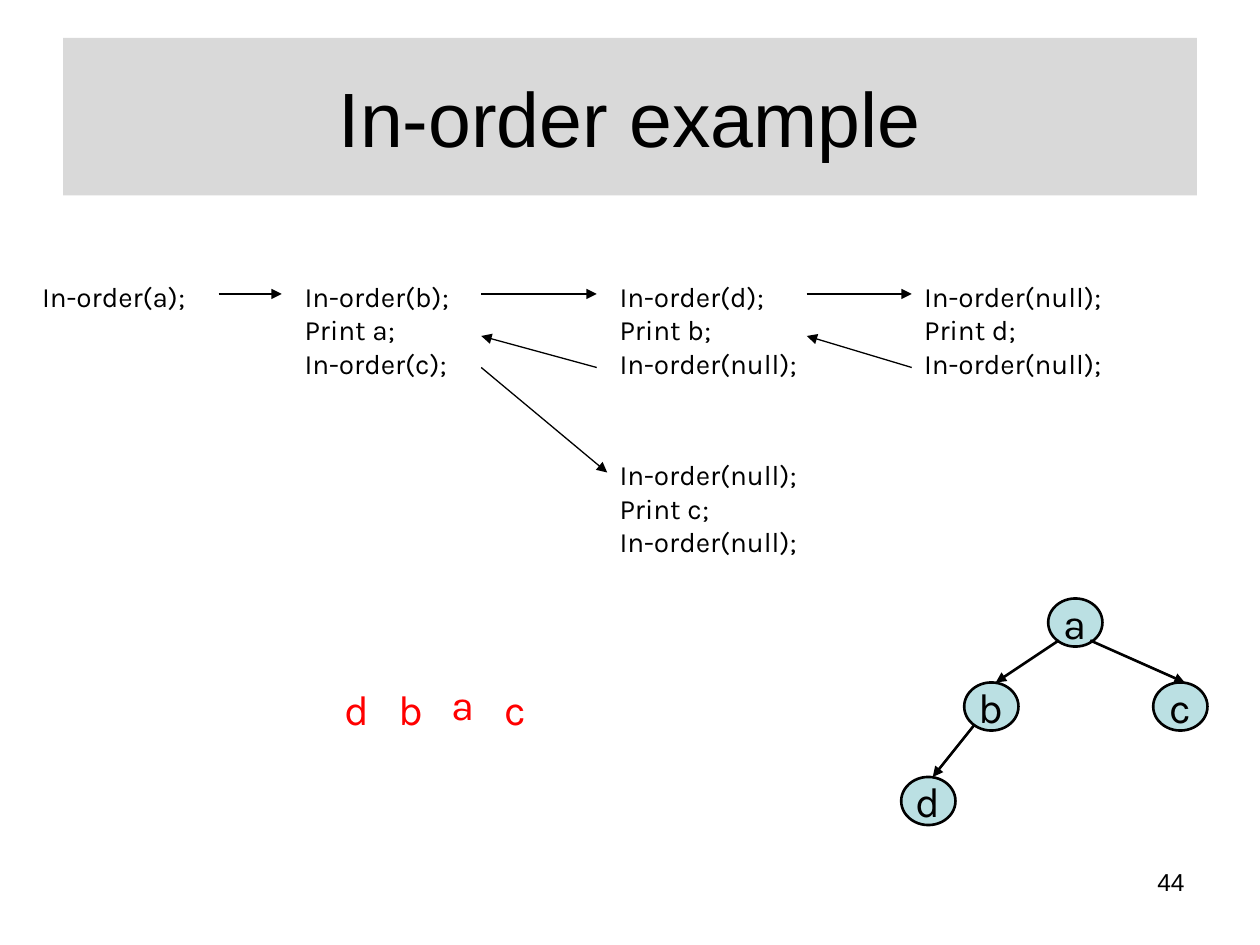
from typing import NamedTuple

from lxml import etree
from pptx import Presentation
from pptx import util as u
from pptx.dml.color import RGBColor
from pptx.enum import shapes, text
from pptx.oxml.ns import qn

BLACK = RGBColor(0x00, 0x00, 0x00)
RED = RGBColor(0xFF, 0x00, 0x00)
BAND_GRAY = RGBColor(0xD9, 0xD9, 0xD9)
NODE_BLUE = RGBColor(0xBB, 0xE0, 0xE3)
SANS, KARLA = "Arial", "Karla"
LEFT, CENTER, RIGHT = text.PP_ALIGN.LEFT, text.PP_ALIGN.CENTER, text.PP_ALIGN.RIGHT
NODE_WIDTH, NODE_HEIGHT = 31, 27.5


class Label(NamedTuple):
    x: float
    y: float
    width: float
    height: float
    lines: tuple[str, ...]


class Node(NamedTuple):
    x: float
    y: float
    name: str


class Arrow(NamedTuple):
    x1: float
    y1: float
    x2: float
    y2: float


# Call frames, one column per recursion depth
CALLS = [
    Label(17, 156, 99.5, 26.5, ("In-order(a);",)),
    Label(167, 156, 99.5, 65, ("In-order(b);", "Print a;", "In-order(c);")),
    Label(347, 156, 116, 65, ("In-order(d);", "Print b;", "In-order(null);")),
    Label(347, 258, 116, 65, ("In-order(null);", "Print c;", "In-order(null);")),
    Label(521, 156, 116, 65, ("In-order(null);", "Print d;", "In-order(null);")),
]
CALL_ARROWS = [
    Arrow(125, 168, 161, 168),
    Arrow(275, 168, 341, 168),
    Arrow(275, 210, 347, 270),
    Arrow(461, 168, 521, 168),
    Arrow(521, 210, 461, 192),
    Arrow(341, 210, 275, 192),
]
NODES = [
    Node(599, 342, "a"),
    Node(551, 390, "b"),
    Node(659, 390, "c"),
    Node(515, 444, "d"),
]
TREE_EDGES = [
    Arrow(605, 366, 569, 390),
    Arrow(623, 366, 677, 390),
    Arrow(557, 414, 533, 444),
]
PRINTED = [
    Label(190, 387, 28, 36, ("d",)),
    Label(220.5, 387, 28, 36, ("b",)),
    Label(251, 384, 27.5, 36, ("a",)),
    Label(281, 387, 26, 36, ("c",)),
]


def write(frame, lines: tuple[str, ...], size: float, font: str,
          color: RGBColor, align) -> None:
    for index, line in enumerate(lines):
        para = frame.paragraphs[0] if index == 0 else frame.add_paragraph()
        para.alignment = align
        span = para.add_run()
        span.text = line
        span.font.size = u.Pt(size)
        span.font.name = font
        span.font.color.rgb = color


def draw_label(page, label: Label, size: float, color: RGBColor, align) -> None:
    box = page.shapes.add_textbox(*map(u.Pt, label[:4]))
    box.text_frame.word_wrap = False
    box.text_frame.auto_size = text.MSO_AUTO_SIZE.SHAPE_TO_FIT_TEXT
    write(box.text_frame, label.lines, size, KARLA, color, align)


def draw_arrow(parent, arrow: Arrow, weight: float) -> None:
    line = parent.shapes.add_connector(
        shapes.MSO_CONNECTOR.STRAIGHT, *map(u.Pt, arrow))
    line.line.color.rgb = BLACK
    line.line.width = u.Pt(weight)
    etree.SubElement(line.line._get_or_add_ln(), qn("a:tailEnd"), type="triangle")
    etree.SubElement(line._element.spPr, qn("a:effectLst"))


def draw_node(parent, node: Node) -> None:
    oval = parent.shapes.add_shape(
        shapes.MSO_SHAPE.OVAL, u.Pt(node.x), u.Pt(node.y),
        u.Pt(NODE_WIDTH), u.Pt(NODE_HEIGHT))
    oval.shadow.inherit = False
    oval.fill.solid()
    oval.fill.fore_color.rgb = NODE_BLUE
    oval.line.color.rgb = BLACK
    oval.line.width = u.Pt(1.5)
    oval.text_frame.word_wrap = False
    oval.text_frame.vertical_anchor = text.MSO_ANCHOR.MIDDLE
    write(oval.text_frame, (node.name,), 24, KARLA, BLACK, CENTER)


def draw_title(page) -> None:
    title = page.shapes.title
    title.left, title.top, title.width, title.height = map(u.Pt, (36, 21.6, 648, 90))
    title.fill.solid()
    title.fill.fore_color.rgb = BAND_GRAY
    title.text_frame.vertical_anchor = text.MSO_ANCHOR.MIDDLE
    write(title.text_frame, ("In-order example",), 44, SANS, BLACK, CENTER)


def main() -> None:
    deck = Presentation()
    deck.slide_width, deck.slide_height = u.Pt(720), u.Pt(540)
    page = deck.slides.add_slide(deck.slide_layouts[5])
    draw_title(page)

    # Recursive calls and returns
    for call in CALLS:
        draw_label(page, call, 16, BLACK, LEFT)
    for arrow in CALL_ARROWS:
        draw_arrow(page, arrow, 0.75)

    # Binary tree
    tree = page.shapes.add_group_shape()
    for node in NODES:
        draw_node(tree, node)
    for edge in TREE_EDGES:
        draw_arrow(tree, edge, 1.5)

    # Printed output
    for letter in PRINTED:
        draw_label(page, letter, 24, RED, CENTER)

    # Page number
    number = page.shapes.add_textbox(*map(u.Pt, (516, 492, 168, 37.5)))
    number.text_frame.word_wrap = True
    write(number.text_frame, ("44",), 14, SANS, BLACK, RIGHT)

    deck.save("out.pptx")


if __name__ == "__main__":
    main()
